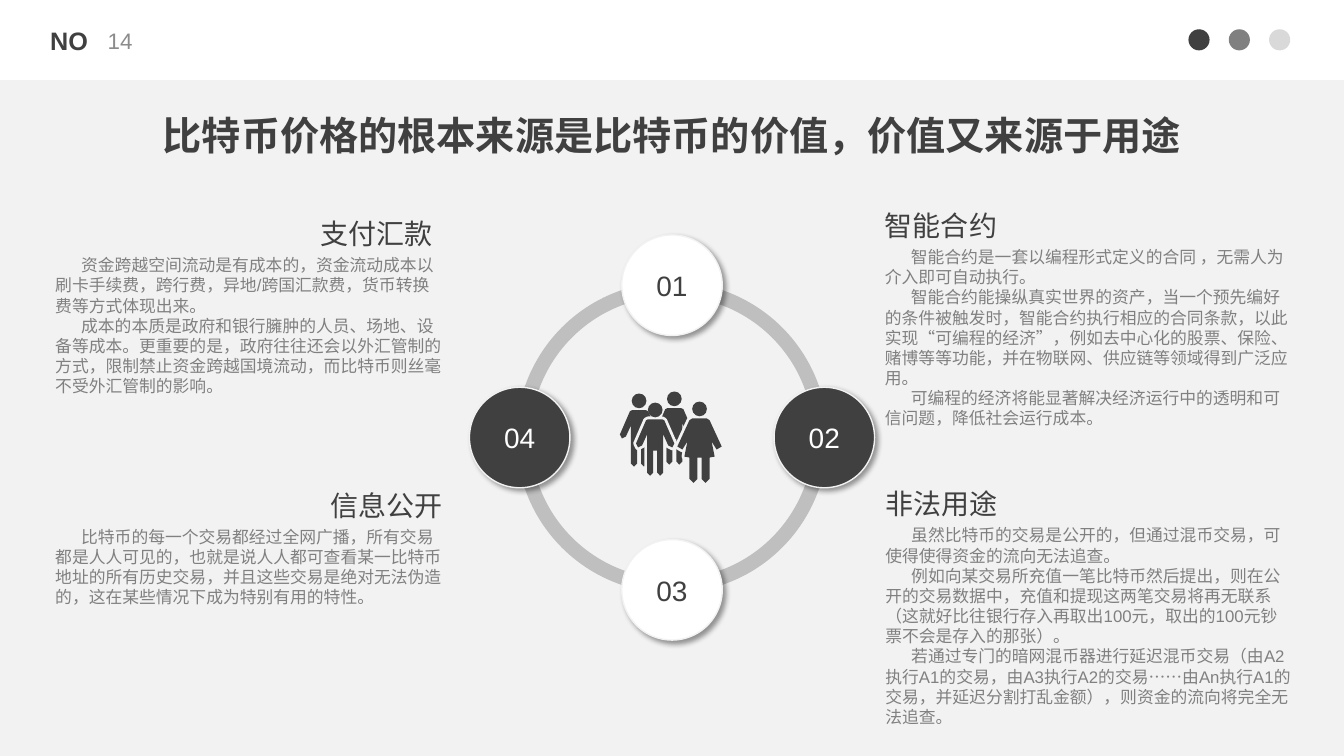
from lxml import etree
from pptx import Presentation
from pptx.dml.color import RGBColor
from pptx.enum.shapes import MSO_SHAPE
from pptx.enum.text import MSO_ANCHOR, MSO_AUTO_SIZE, PP_ALIGN
from pptx.oxml.ns import qn
from pptx.util import Pt

RECT, OVAL, ARC = MSO_SHAPE.RECTANGLE, MSO_SHAPE.OVAL, MSO_SHAPE.BLOCK_ARC
TOP, MIDDLE = MSO_ANCHOR.TOP, MSO_ANCHOR.MIDDLE
LEFT, CENTER, RIGHT = PP_ALIGN.LEFT, PP_ALIGN.CENTER, PP_ALIGN.RIGHT
NO_FIT = MSO_AUTO_SIZE.NONE

COLORS = {
    "white": "FFFFFF", "back": "F2F2F2", "dark": "404040", "gray": "808080",
    "light": "D9D9D9", "ring": "BFBFBF", "number": "8C8C8C", "black": "000000",
}
LATIN, CJK = "Arial", "Noto Sans CJK SC"

TITLE = "比特币价格的根本来源是比特币的价值，价值又来源于用途"
SECTIONS = [
    ("智能合约", 625, 145.4, LEFT, [
        "智能合约是一套以编程形式定义的合同 ，无需人为介入即可自动执行。",
        "智能合约能操纵真实世界的资产，当一个预先编好的条件被触发时，智能合约执行相应的合同条款，以此实现“可编程的经济”，例如去中心化的股票、保险、赌博等等功能，并在物联网、供应链等领域得到广泛应用。",
        "可编程的经济将能显著解决经济运行中的透明和可信问题，降低社会运行成本。",
    ]),
    ("非法用途", 625.3, 344.2, LEFT, [
        "虽然比特币的交易是公开的，但通过混币交易，可使得使得资金的流向无法追查。",
        "例如向某交易所充值一笔比特币然后提出，则在公开的交易数据中，充值和提现这两笔交易将再无联系（这就好比往银行存入再取出100元，取出的100元钞票不会是存入的那张）。",
        "若通过专门的暗网混币器进行延迟混币交易（由A2执行A1的交易，由A3执行A2的交易……由An执行A1的交易，并延迟分割打乱金额），则资金的流向将完全无法追查。",
    ]),
    ("支付汇款", 94.3, 151.2, RIGHT, [
        "资金跨越空间流动是有成本的，资金流动成本以刷卡手续费，跨行费，异地/跨国汇款费，货币转换费等方式体现出来。",
        "成本的本质是政府和银行臃肿的人员、场地、设备等成本。更重要的是，政府往往还会以外汇管制的方式，限制禁止资金跨越国境流动，而比特币则丝毫不受外汇管制的影响。",
    ]),
    ("信息公开", 101.5, 345.2, RIGHT, [
        "比特币的每一个交易都经过全网广播，所有交易都是人人可见的，也就是说人人都可查看某一比特币地址的所有历史交易，并且这些交易是绝对无法伪造的，这在某些情况下成为特别有用的特性。",
    ]),
]

MAN = [(7, 0), (9, 1), (19, 24), (17, 28), (13, 26), (8, 15),
       (8, 53), (5, 56), (2, 53), (2, 31)]
WOMAN = [(7, 0), (10, 2), (22, 28), (17, 31), (12, 23), (15, 38),
         (10, 39), (10, 60), (6, 64), (2, 60), (2, 39)]
PEOPLE = [(669, 405, MAN), (634, 407, MAN), (650, 416, MAN), (694, 415, WOMAN)]


def write(tf, *texts, size=12, color="dark", font=LATIN, bold=False,
          align=LEFT, anchor=TOP, wrap=True, indent=0):
    tf.word_wrap, tf.auto_size, tf.vertical_anchor = wrap, NO_FIT, anchor
    for i, text in enumerate(texts):
        p = tf.add_paragraph() if i else tf.paragraphs[0]
        p.alignment = align
        if indent:
            p._p.get_or_add_pPr().set("indent", str(Pt(indent)))
        r = p.add_run()
        r.text = text
        r.font.name, r.font.size, r.font.bold = font, Pt(size), bold
        r.font.color.rgb = RGBColor.from_string(COLORS[color])
        etree.SubElement(r._r.get_or_add_rPr(), qn("a:ea"), typeface=CJK)


class Deck:
    def __init__(self, width, height):
        self.prs = Presentation()
        self.prs.slide_width, self.prs.slide_height = Pt(width), Pt(height)
        self.s = self.prs.slides.add_slide(self.prs.slide_layouts[5])
        self.paint(self.s.background.fill, "back")

    def paint(self, fill, color):
        fill.solid()
        fill.fore_color.rgb = RGBColor.from_string(COLORS[color])

    def finish(self, sp, color, border=0):
        sp.shadow.inherit = False
        self.paint(sp.fill, color)
        if border:
            sp.line.width = Pt(border)
            self.paint(sp.line.fill, "back")
        else:
            sp.line.fill.background()
        return sp

    def shape(self, kind, x, y, w, h, color, border=0):
        sp = self.s.shapes.add_shape(kind, Pt(x), Pt(y), Pt(w), Pt(h))
        return self.finish(sp, color, border)

    def person(self, cx, shoulder, half, unit=0.72, head=7.3):
        right = [(cx + dx, shoulder + dy) for dx, dy in half]
        left = [(cx - dx, shoulder + dy) for dx, dy in reversed(half)]
        for color, border in (("back", 4), ("dark", 0)):
            builder = self.s.shapes.build_freeform(*right[0], scale=Pt(unit))
            builder.add_line_segments(right[1:] + left)
            self.finish(builder.convert_to_shape(), color, border)
        size = 2 * head * unit
        self.shape(OVAL, (cx - head) * unit, (shoulder - 2 - 2 * head) * unit,
                   size, size, "dark")

    def title(self, text, x, y, w, h, **style):
        sp = self.s.shapes.title
        sp.left, sp.top, sp.width, sp.height = Pt(x), Pt(y), Pt(w), Pt(h)
        write(sp.text_frame, text, **style)

    def text(self, x, y, w, h, *texts, **style):
        sp = self.s.shapes.add_textbox(Pt(x), Pt(y), Pt(w), Pt(h))
        write(sp.text_frame, *texts, **style)

    def badge(self, cx, cy, size, label, fill, color):
        sp = self.shape(OVAL, cx - size / 2, cy - size / 2, size, size, fill, 1)
        effects = sp._element.spPr.find(qn("a:effectLst"))
        shadow = etree.SubElement(effects, qn("a:outerShdw"), blurRad=str(Pt(4)),
                                  dist=str(Pt(3)), dir="2700000", algn="tl", rotWithShape="0")
        tone = etree.SubElement(shadow, qn("a:srgbClr"), val=COLORS["black"])
        etree.SubElement(tone, qn("a:alpha"), val="40000")
        write(sp.text_frame, label, size=20, color=color, align=CENTER, anchor=MIDDLE)


def main():
    deck = Deck(960, 540)
    deck.shape(RECT, 0, 0, 960, 57, "white")
    for i, color in enumerate(("dark", "gray", "light")):
        deck.shape(OVAL, 848.9 + 28.8 * i, 20.9, 15.1, 15.1, color)
    deck.text(28.1, 14.4, 41.8, 28.8, "NO", size=18, bold=True, align=RIGHT, wrap=False)
    deck.text(69.8, 14.4, 51.1, 28.8, "14", size=16, color="number", anchor=MIDDLE)
    deck.title(TITLE, 102.2, 75.6, 755.3, 41, size=28, font=CJK, bold=True, align=CENTER)

    cx, cy, ring, orbit = 480, 312.5, 222.5, 108.8
    for quarter in range(4):
        sp = deck.shape(ARC, cx - ring / 2, cy - ring / 2, ring, ring, "ring")
        sp.adjustments[0] = 54 * quarter
        sp.adjustments[1] = 54 * ((quarter + 1) % 4)
        sp.adjustments[2] = 0.046

    for person in PEOPLE:
        deck.person(*person)

    for i, (dx, dy) in enumerate(((0, -1), (1, 0), (0, 1), (-1, 0))):
        fill, color = ("dark", "white") if i % 2 else ("white", "dark")
        deck.badge(cx + orbit * dx, cy + orbit * dy, 71.8, f"{i + 1:02}", fill, color)

    for heading, x, y, align, paragraphs in SECTIONS:
        body_x, body_w = (x, 305.6) if align == LEFT else (32.4, 290.2)
        body_h = 7.2 + 43.7 * len(paragraphs)
        deck.text(x, y, 221.8, 31.5, heading, size=20, font=CJK, align=align)
        deck.text(body_x, y + 27.4, body_w, body_h, *paragraphs, color="gray", indent=18.5)

    deck.prs.save("out.pptx")


if __name__ == "__main__":
    main()
